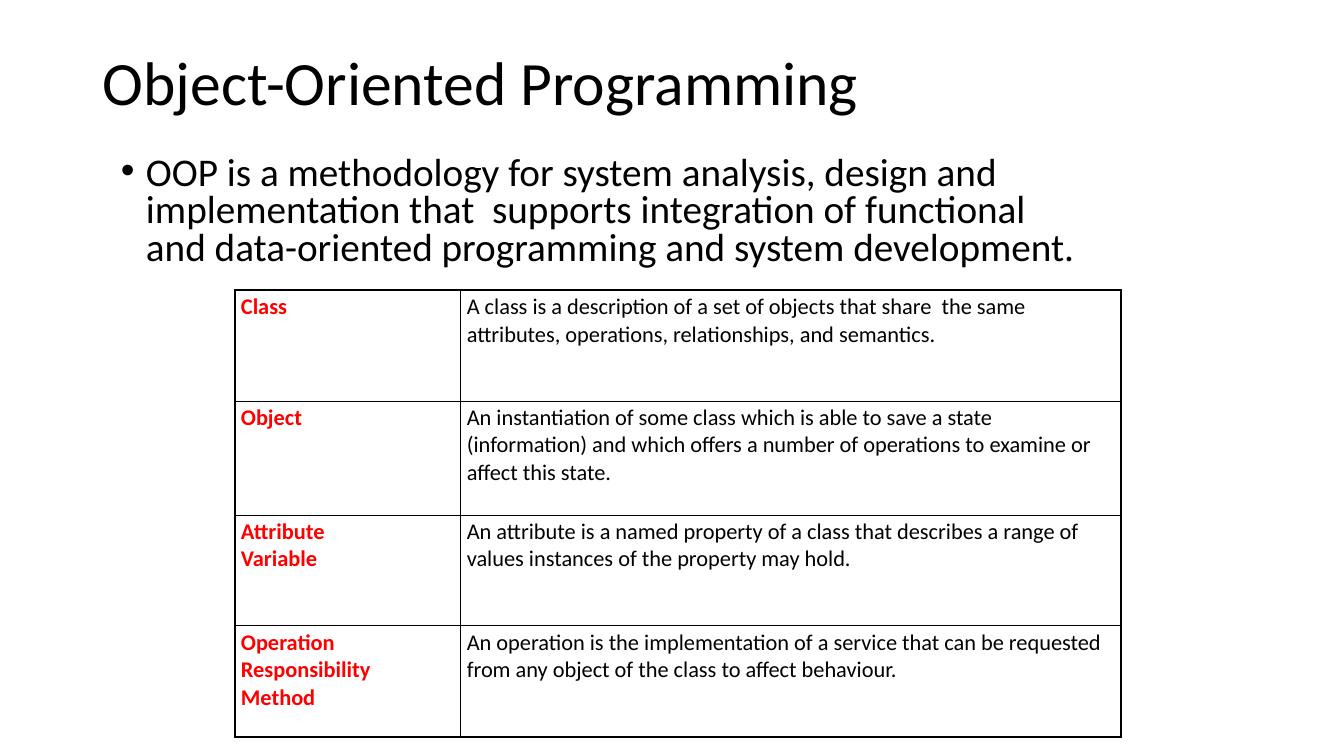
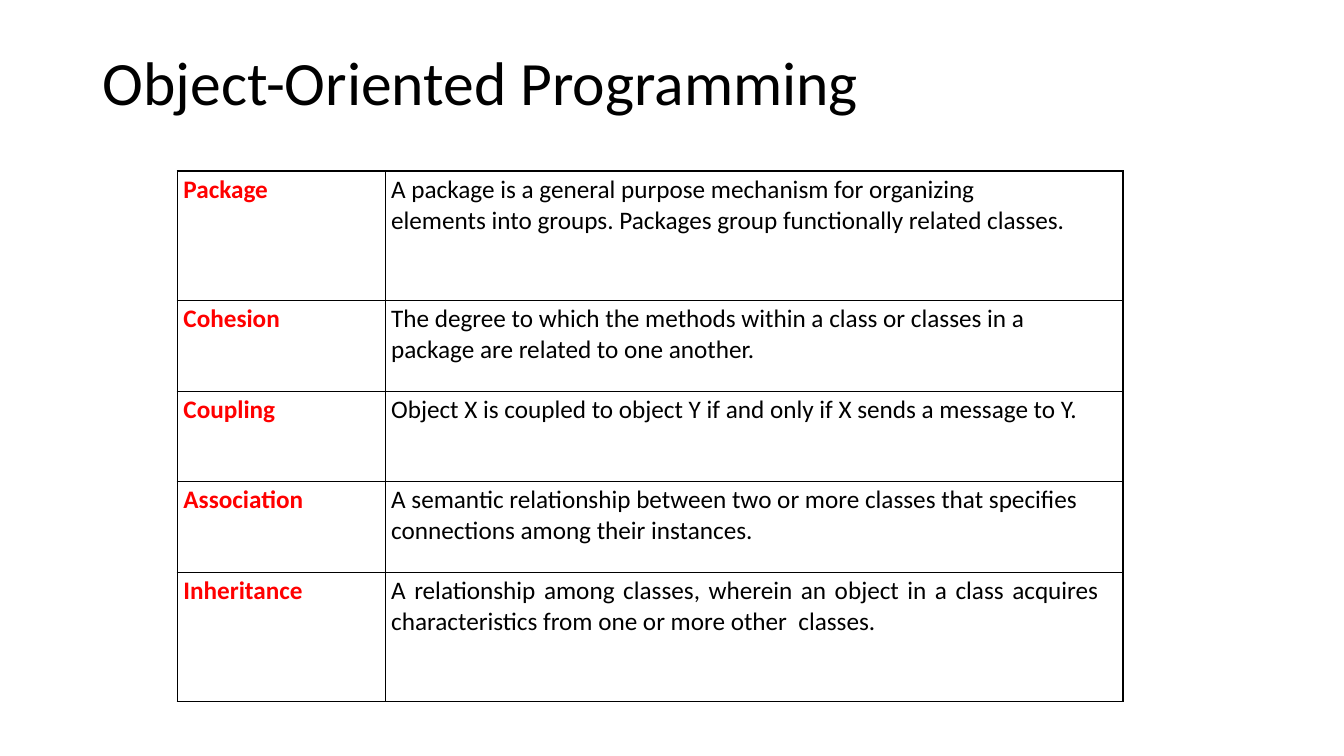
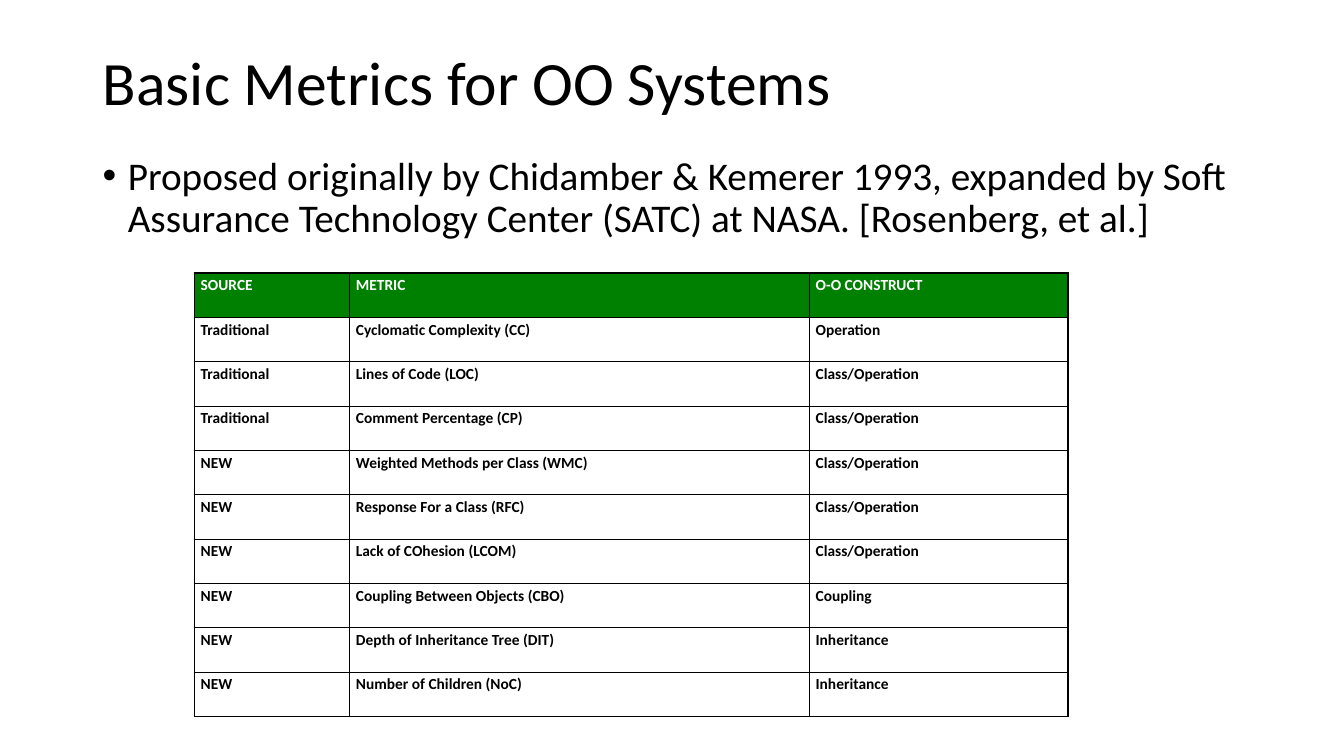
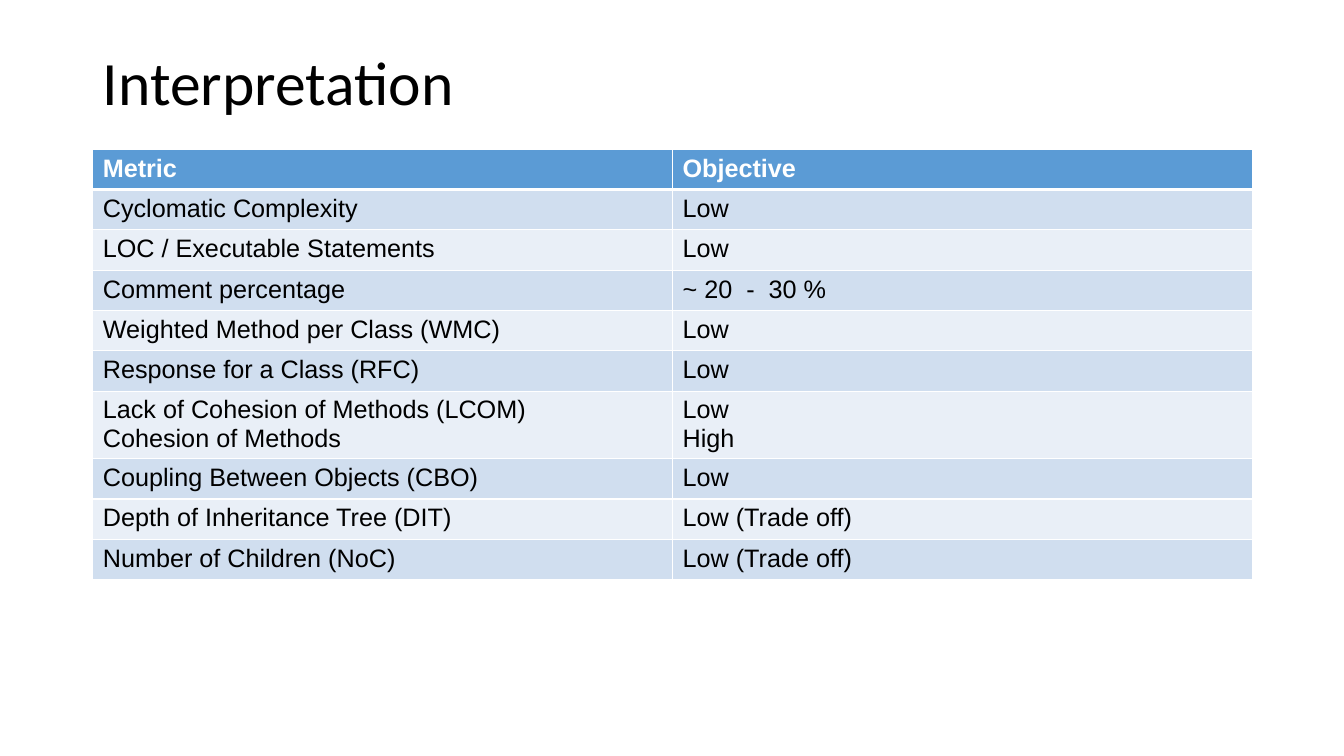
from pptx import Presentation
from pptx.dml.color import RGBColor
from pptx.enum.text import MSO_ANCHOR, PP_ALIGN
from pptx.oxml.xmlchemy import OxmlElement
from pptx.util import Inches, Pt

LEFT, JUSTIFY = PP_ALIGN.LEFT, PP_ALIGN.JUSTIFY
TOP, MIDDLE = MSO_ANCHOR.TOP, MSO_ANCHOR.MIDDLE

BLACK = RGBColor(0x00, 0x00, 0x00)
WHITE = RGBColor(0xFF, 0xFF, 0xFF)
RED = RGBColor(0xFF, 0x00, 0x00)
GREEN = RGBColor(0x00, 0x80, 0x00)
BLUE = RGBColor(0x5B, 0x9B, 0xD5)
BANDS = RGBColor(0xD0, 0xDE, 0xEF), RGBColor(0xE9, 0xEF, 0xF7)

TERMS = [
    ("Class", "A class is a description of a set of objects that share  the same "
     "attributes, operations, relationships, and semantics."),
    ("Object", "An instantiation of some class which is able to save a state "
     "(information) and which offers a number of operations to examine or "
     "affect this state."),
    ("Attribute\vVariable", "An attribute is a named property of a class that "
     "describes a range of values instances of the property may hold."),
    ("Operation\vResponsibility\vMethod", "An operation is the implementation of "
     "a service that can be requested from any object of the class to affect "
     "behaviour."),
]
RELATIONS = [
    ("Package", "A package is a general purpose mechanism for organizing\v"
     "elements into groups. Packages group functionally related classes."),
    ("Cohesion", "The degree to which the methods within a class or classes in a "
     "package are related to one another."),
    ("Coupling", "Object X is coupled to object Y if and only if X sends a "
     "message to Y."),
    ("Association", "A semantic relationship between two or more classes that "
     "specifies connections among their instances."),
    ("Inheritance", "A relationship among classes, wherein an object in a class "
     "acquires characteristics from one or more other  classes."),
]
METRICS = [
    ("SOURCE", "METRIC", "O-O CONSTRUCT"),
    ("Traditional", "Cyclomatic Complexity (CC)", "Operation"),
    ("Traditional", "Lines of Code (LOC)", "Class/Operation"),
    ("Traditional", "Comment Percentage (CP)", "Class/Operation"),
    ("NEW", "Weighted Methods per Class (WMC)", "Class/Operation"),
    ("NEW", "Response For a Class (RFC)", "Class/Operation"),
    ("NEW", "Lack of COhesion (LCOM)", "Class/Operation"),
    ("NEW", "Coupling Between Objects (CBO)", "Coupling"),
    ("NEW", "Depth of Inheritance Tree (DIT)", "Inheritance"),
    ("NEW", "Number of Children (NoC)", "Inheritance"),
]
OBJECTIVES = [
    ("Metric", "Objective"),
    ("Cyclomatic Complexity", "Low"),
    ("LOC / Executable Statements", "Low"),
    ("Comment percentage", "~ 20  -  30 %"),
    ("Weighted Method per Class (WMC)", "Low"),
    ("Response for a Class (RFC)", "Low"),
    ("Lack of Cohesion of Methods (LCOM)\nCohesion of Methods", "Low\nHigh"),
    ("Coupling Between Objects (CBO)", "Low"),
    ("Depth of Inheritance Tree (DIT)", "Low (Trade off)"),
    ("Number of Children (NoC)", "Low (Trade off)"),
]
OOP_INTRO = ("OOP is a methodology for system analysis, design and implementation "
             "that  supports integration of functional and data-oriented "
             "programming and system development.")
METRICS_INTRO = ("Proposed originally by Chidamber & Kemerer 1993, expanded by Soft "
                 "Assurance Technology Center (SATC) at NASA. [Rosenberg, et al.]")


def style(p, size, color, font="Calibri", bold=False, spacing=1.0):
    p.font.size = Pt(size)
    p.font.name = font
    p.font.bold = bold
    p.font.color.rgb = color
    p.line_spacing = spacing


def place(shape, x, y, w, h):
    shape.left, shape.top = Inches(x), Inches(y)
    shape.width, shape.height = Inches(w), Inches(h)


def add_slide(prs, title):
    s = prs.slides.add_slide(prs.slide_layouts[5])
    place(s.shapes.title, 0.92, 0.4, 11.5, 0.9)
    tf = s.shapes.title.text_frame
    tf.text = title
    tf.vertical_anchor = MIDDLE
    tf.paragraphs[0].alignment = LEFT
    style(tf.paragraphs[0], 44, BLACK, spacing=0.9)
    return s


def add_bullet(s, text, x, y, w, h, spacing):
    tf = s.shapes.add_textbox(Inches(x), Inches(y), Inches(w), Inches(h)).text_frame
    tf.word_wrap = True
    tf.vertical_anchor = TOP
    p = tf.paragraphs[0]
    p.text = text
    style(p, 28, BLACK, spacing=spacing)
    pPr = p._p.get_or_add_pPr()
    pPr.set("marL", str(Inches(0.25)))
    pPr.set("indent", str(-Inches(0.25)))
    bullet_font = OxmlElement("a:buFont")
    bullet_font.set("typeface", "Arial")
    bullet = OxmlElement("a:buChar")
    bullet.set("char", "•")
    at = list(pPr).index(pPr.find(bullet_font.tag.replace("buFont", "lnSpc"))) + 1
    pPr.insert(at, bullet_font)
    pPr.insert(at + 1, bullet)


def set_borders(cell, color, widths):
    tcPr = cell._tc.get_or_add_tcPr()
    for i, (side, width) in enumerate(zip("LRTB", widths)):
        ln = OxmlElement(f"a:ln{side}")
        ln.set("w", str(Pt(width)))
        fill = OxmlElement("a:solidFill")
        rgb = OxmlElement("a:srgbClr")
        rgb.set("val", str(color))
        fill.append(rgb)
        ln.append(fill)
        tcPr.insert(i, ln)


def add_table(s, rows, x, y, col_widths, row_heights, size, look, line,
              inner, outer, header=None, font="Calibri", margins=(0.06, 0.03, 0, 0)):
    n_rows, n_cols = len(rows), len(col_widths)
    frame = s.shapes.add_table(n_rows, n_cols, Inches(x), Inches(y),
                               Inches(sum(col_widths)), Inches(sum(row_heights)))
    table = frame.table
    table.first_row = table.horz_banding = False
    for column, width in zip(table.columns, col_widths):
        column.width = Inches(width)
    for row, height in zip(table.rows, row_heights):
        row.height = Inches(height)

    def edge(i, last):
        return outer if i in (0, last) else inner

    def row_edge(i):
        return header if header and i == 1 else edge(i, n_rows)

    for r, texts in enumerate(rows):
        for c, text in enumerate(texts):
            cell = table.cell(r, c)
            fill, color, bold = look(r, c)
            cell.text = text
            (cell.margin_left, cell.margin_top,
             cell.margin_right, cell.margin_bottom) = map(Inches, margins)
            for p in cell.text_frame.paragraphs:
                style(p, size, color, font, bold)
            if fill is None:
                cell.fill.background()
            else:
                cell.fill.solid()
                cell.fill.fore_color.rgb = fill
            set_borders(cell, line, (edge(c, n_cols), edge(c + 1, n_cols),
                                     row_edge(r), row_edge(r + 1)))
    return table


def glossary_look(r, c):
    return (None, RED, True) if c == 0 else (None, BLACK, False)


def metrics_look(r, c):
    return (GREEN, WHITE, True) if r == 0 else (None, BLACK, True)


def banded_look(r, c):
    return (BLUE, WHITE, True) if r == 0 else (BANDS[(r - 1) % 2], BLACK, False)


def main():
    prs = Presentation()
    prs.slide_width, prs.slide_height = Inches(13.33), Inches(7.5)

    s = add_slide(prs, "Object-Oriented Programming")
    add_bullet(s, OOP_INTRO, 1.1, 1.5, 9.8, 1.33, 0.8)
    add_table(s, TERMS, 2.33, 2.88, (2.24, 6.55), (1.1, 1.13, 1.1, 1.1), 16,
              glossary_look, BLACK, 0.75, 1.5, margins=(0.06, 0.03, 0.15, 0))

    s = add_slide(prs, "Object-Oriented Programming")
    table = add_table(s, RELATIONS, 1.76, 1.7, (2.06, 7.32),
                      (1.28, 0.9, 0.9, 0.9, 1.28), 18, glossary_look, BLACK,
                      0.75, 1.5, margins=(0.06, 0.03, 0.24, 0))
    table.cell(len(RELATIONS) - 1, 1).text_frame.paragraphs[0].alignment = JUSTIFY

    s = add_slide(prs, "Basic Metrics for OO Systems")
    add_bullet(s, METRICS_INTRO, 0.92, 1.5, 11.5, 0.96, 0.9)
    add_table(s, METRICS, 1.93, 2.71, (1.54, 4.56, 2.56), [0.44] * len(METRICS),
              11, metrics_look, BLACK, 0.75, 1.5)

    s = add_slide(prs, "Interpretation")
    heights = [0.67 if "\n" in row[0] else 0.4 for row in OBJECTIVES]
    add_table(s, OBJECTIVES, 0.92, 1.48, (5.75, 5.75), heights, 18, banded_look,
              WHITE, 1, 1, header=3, font="Arial", margins=(0.1, 0.05, 0.1, 0.05))

    prs.save("out.pptx")


if __name__ == "__main__":
    main()
